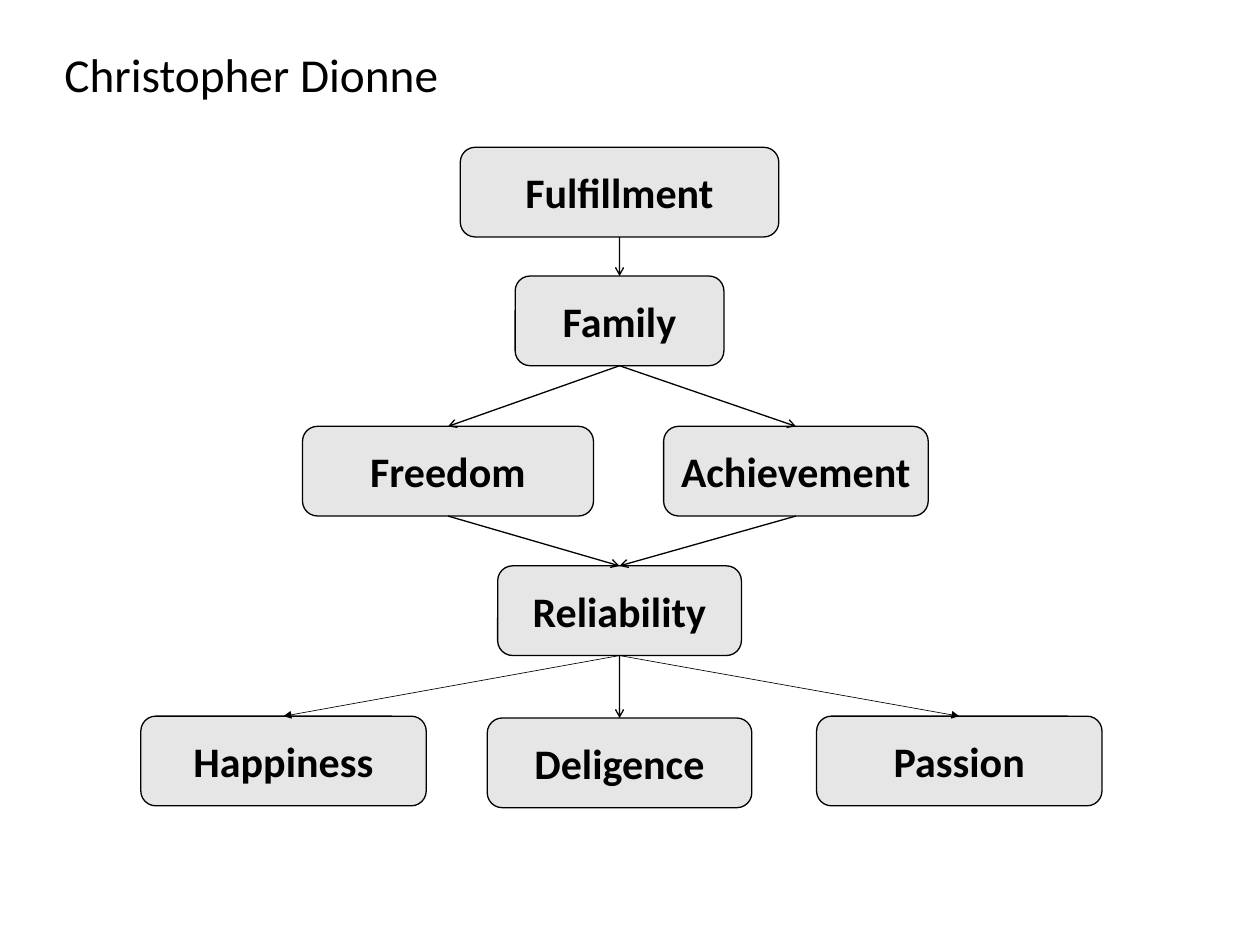
import pptx
import pptx.dml.color
import pptx.enum.shapes
import pptx.enum.text
import pptx.oxml.ns
import pptx.util
from lxml import etree
from pptx.util import Cm

FONT = "Calibri"
BLACK = "000000"
BOX_FILL = "E7E6E6"
BOX_HEIGHT = 2.41
AXIS = 16.65  # centre line of the hierarchy, in cm
TOP, BOTTOM = 0, 2  # connection sites

# value: (centre, top, width) in cm
VALUES = {
    "Fulfillment": (AXIS, 3.96, 8.56),
    "Family": (AXIS, 7.42, 5.61),
    "Freedom": (12.04, 11.46, 7.82),
    "Achievement": (21.39, 11.46, 7.11),
    "Reliability": (AXIS, 15.21, 6.55),
    "Happiness": (7.62, 19.25, 7.67),
    "Deligence": (AXIS, 19.3, 7.11),
    "Passion": (25.78, 19.25, 7.67),
}

# (upper value, lower value, line width in points, arrowhead)
LINKS = [
    ("Fulfillment", "Family", 1, "arrow"),
    ("Family", "Freedom", 1, "arrow"),
    ("Family", "Achievement", 1, "arrow"),
    ("Freedom", "Reliability", 1, "arrow"),
    ("Achievement", "Reliability", 1, "arrow"),
    ("Reliability", "Happiness", 0.5, "triangle"),
    ("Reliability", "Deligence", 1, "arrow"),
    ("Reliability", "Passion", 0.5, "triangle"),
]


def rgb(hex_colour):
    return pptx.dml.color.RGBColor.from_string(hex_colour)


def write_text(shape, text, size, bold=False, colour=BLACK):
    frame = shape.text_frame
    frame.auto_size = pptx.enum.text.MSO_AUTO_SIZE.NONE
    frame.word_wrap = True
    frame.margin_left = frame.margin_right = Cm(0.1)
    frame.vertical_anchor = pptx.enum.text.MSO_ANCHOR.MIDDLE
    paragraph = frame.paragraphs[0]
    paragraph.alignment = pptx.enum.text.PP_ALIGN.CENTER
    run = paragraph.add_run()
    run.text = text
    run.font.name = FONT
    run.font.size = pptx.util.Pt(size)
    run.font.bold = bold
    run.font.color.rgb = rgb(colour)


def add_title(slide, text):
    title = slide.shapes.title
    title.left, title.top = Cm(0), Cm(1.09)
    title.width, title.height = Cm(13.51), Cm(1.8)
    write_text(title, text, size=36)


def add_value_box(slide, text, centre, top, width):
    box = slide.shapes.add_shape(
        pptx.enum.shapes.MSO_SHAPE.ROUNDED_RECTANGLE,
        Cm(centre - width / 2), Cm(top), Cm(width), Cm(BOX_HEIGHT))
    box.shadow.inherit = False
    box.fill.solid()
    box.fill.fore_color.rgb = rgb(BOX_FILL)
    box.line.color.rgb = rgb(BLACK)
    box.line.width = pptx.util.Pt(1)
    write_text(box, text, size=32, bold=True)
    return box


def add_arrow(slide, upper, lower, width, head):
    arrow = slide.shapes.add_connector(
        pptx.enum.shapes.MSO_CONNECTOR.STRAIGHT, 0, 0, 0, 0)
    arrow.begin_connect(upper, BOTTOM)
    arrow.end_connect(lower, TOP)
    arrow.line.color.rgb = rgb(BLACK)
    arrow.line.width = pptx.util.Pt(width)
    # Arrowhead at the lower box, and no shadow
    qn = pptx.oxml.ns.qn
    properties = arrow._element.spPr
    etree.SubElement(properties.find(qn("a:ln")), qn("a:tailEnd"), type=head)
    etree.SubElement(properties, qn("a:effectLst"))


def main():
    deck = pptx.Presentation()
    deck.slide_width, deck.slide_height = Cm(33.86), Cm(25.4)
    slide = deck.slides.add_slide(deck.slide_layouts[5])

    add_title(slide, "Christopher Dionne")

    # Hierarchy of values
    boxes = {value: add_value_box(slide, value, *place)
             for value, place in VALUES.items()}
    for upper, lower, width, head in LINKS:
        add_arrow(slide, boxes[upper], boxes[lower], width, head)

    deck.save("out.pptx")


if __name__ == "__main__":
    main()
